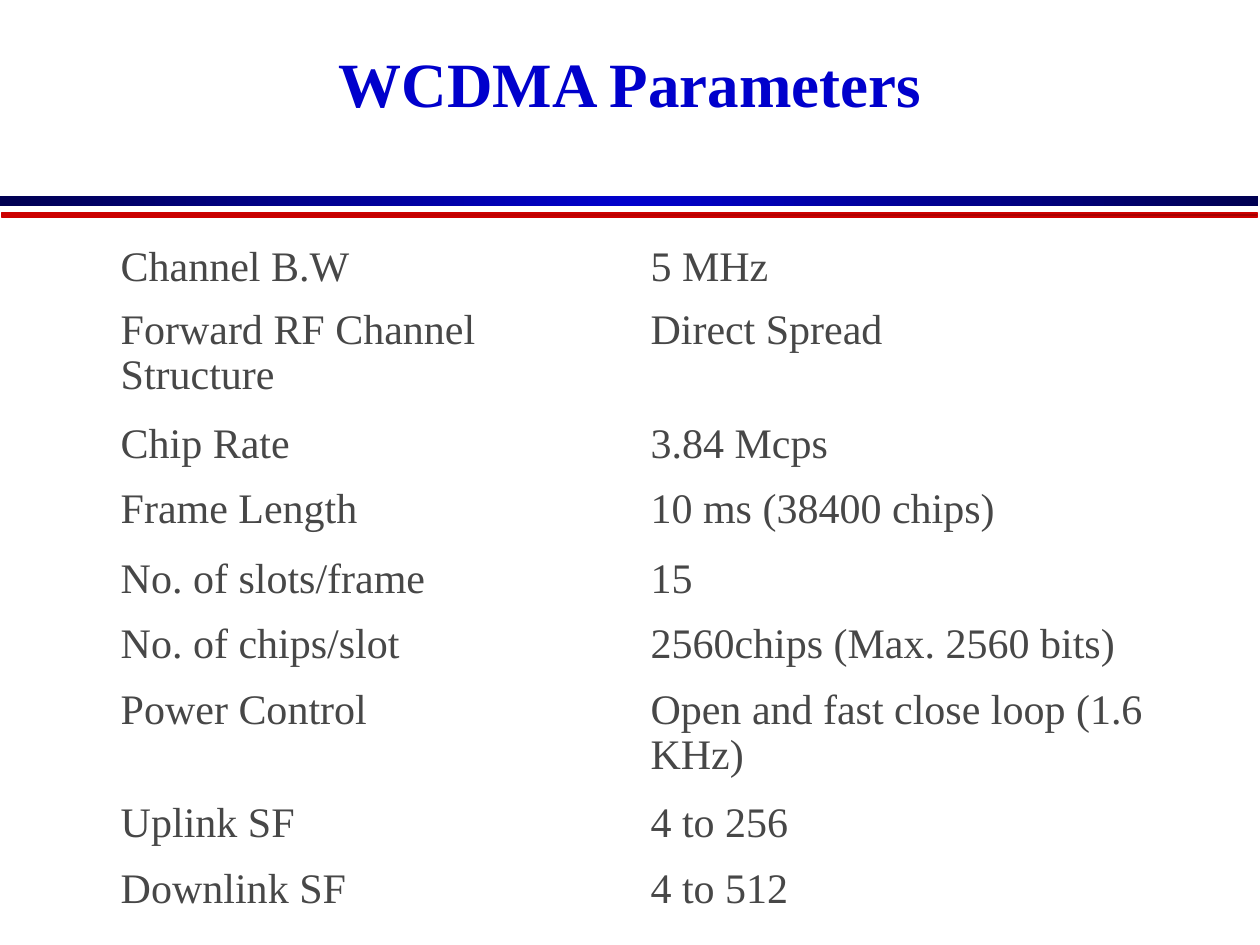
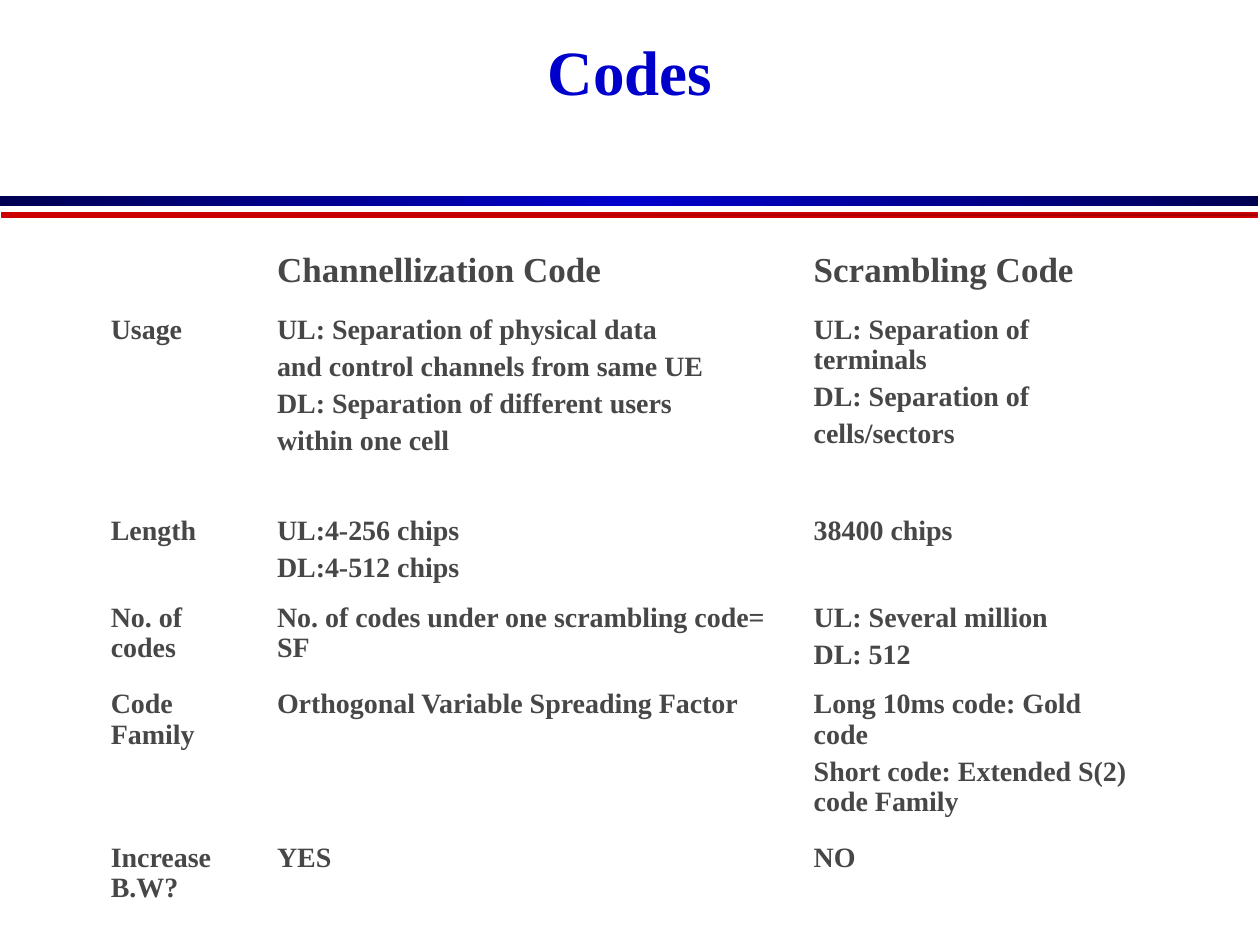
from copy import deepcopy
from dataclasses import dataclass

from lxml import etree
from pptx import Presentation
from pptx import util as u
from pptx.dml.color import RGBColor
from pptx.enum import shapes, text
from pptx.oxml.ns import qn

NAVY = RGBColor(0x00, 0x00, 0x52)
BLUE = RGBColor(0x00, 0x00, 0xCC)
RED = RGBColor(0xCC, 0x00, 0x00)
DARK_RED = RGBColor(0xA3, 0x00, 0x00)
GREY = RGBColor(0x47, 0x47, 0x47)
WHITE = RGBColor(0xFF, 0xFF, 0xFF)
FACE = "Times New Roman"
TITLE = {"name": FACE, "size": u.Pt(36), "bold": True}
OUTER, INNER = u.Pt(1.08), u.Pt(0.45)


@dataclass(frozen=True)
class Band:
    left: float
    top: float
    width: float
    height: float
    stops: tuple[RGBColor, ...]
    edge: RGBColor | None = None


@dataclass(frozen=True)
class Grid:
    """A table: lengths in cm, sizes in points, one string per cell."""
    left: float
    top: float
    cols: tuple[float, ...]
    rows: tuple[float, ...]
    cells: tuple[tuple[str, ...], ...]
    size: int
    head: int
    bold: bool = False


@dataclass(frozen=True)
class Page:
    title: str
    depth: float
    grid: Grid


BANDS = (
    Band(0, 3.96, 25.37, 0.2, (NAVY, BLUE, NAVY)),
    Band(0.03, 4.29, 25.32, 0.08, (RED, DARK_RED), RED),
)

PARAMS = Grid(
    2.18, 4.83, (10.68, 10.68),
    (1.27, 2.29, 1.32, 1.4, 1.32, 1.32, 2.29, 1.32, 1.32),
    (
        ("Channel B.W", "5 MHz"),
        ("Forward RF Channel Structure", "Direct Spread"),
        ("Chip Rate", "3.84 Mcps"),
        ("Frame Length", "10 ms (38400 chips)"),
        ("No. of slots/frame", "15"),
        ("No. of chips/slot", "2560chips (Max. 2560 bits)"),
        ("Power Control", "Open and fast close loop (1.6 KHz)"),
        ("Uplink SF", "4 to 256"),
        ("Downlink SF", "4 to 512"),
    ),
    size=24, head=24,
)

CODES = Grid(
    1.98, 4.95, (3.35, 10.82, 7.09),
    (1.27, 4.06, 1.75, 1.75, 3.1, 1.63),
    (
        ("", "Channellization Code", "Scrambling Code"),
        ("Usage",
         "UL: Separation of physical data\n"
         "and control channels from same UE\n"
         "DL: Separation of different users\n"
         "within one cell",
         "UL: Separation of terminals\nDL: Separation of\ncells/sectors"),
        ("Length", "UL:4-256 chips\nDL:4-512 chips", "38400 chips"),
        ("No. of codes", "No. of codes under one scrambling code= SF",
         "UL: Several million\nDL: 512"),
        ("Code Family", "Orthogonal Variable Spreading Factor",
         "Long 10ms code: Gold code\n"
         "Short code: Extended S(2) code Family"),
        ("Increase B.W?", "YES", "NO"),
    ),
    size=16, head=20, bold=True,
)

PAGES = (
    Page("WCDMA Parameters", 1.78, PARAMS),
    Page("Codes", 1.55, CODES),
)


def style(font, look: dict, color: RGBColor) -> None:
    for name, value in look.items():
        setattr(font, name, value)
    font.color.rgb = color


def shade(shape, colors: tuple[RGBColor, ...]) -> None:
    """Fill from left to right with evenly spaced colours."""
    fill = shape.fill
    fill.gradient()
    fill.gradient_angle = 0
    stops = shape._element.spPr.find(qn("a:gradFill")).find(qn("a:gsLst"))
    for _ in range(len(colors) - len(stops)):
        stops.append(deepcopy(stops[0]))
    for i, (stop, color) in enumerate(zip(fill.gradient_stops, colors)):
        stop.position = i / (len(colors) - 1)
        stop.color.rgb = color


def draw_band(slide, band: Band) -> None:
    box = map(u.Cm, (band.left, band.top, band.width, band.height))
    bar = slide.shapes.add_shape(shapes.MSO_SHAPE.RECTANGLE, *box)
    bar.shadow.inherit = False
    shade(bar, band.stops)
    if band.edge is None:
        bar.line.fill.background()
    else:
        bar.line.color.rgb = band.edge
        bar.line.width = u.Pt(1)


def draw_title(slide, words: str, depth: float) -> None:
    box = map(u.Cm, (1.27, 0.76, 22.86, depth))
    frame = slide.shapes.add_textbox(*box).text_frame
    frame.word_wrap = True
    frame.vertical_anchor = text.MSO_ANCHOR.BOTTOM
    para = frame.paragraphs[0]
    para.text = words
    para.alignment = text.PP_ALIGN.CENTER
    style(para.font, TITLE, BLUE)


def rule(cell, edges: dict[str, bool]) -> None:
    """Draw white borders, heavier where a side is on the table's rim."""
    props = cell._tc.get_or_add_tcPr()
    for side, rim in edges.items():
        line = etree.SubElement(props, qn(f"a:ln{side}"),
                                w=str(OUTER if rim else INNER))
        fill = etree.SubElement(line, qn("a:solidFill"))
        etree.SubElement(fill, qn("a:srgbClr"), val=str(WHITE))


def write(cell, words: str, size: int, bold: bool) -> None:
    cell.text = words
    look = {"name": FACE, "size": u.Pt(size), "bold": bold}
    for i, para in enumerate(cell.text_frame.paragraphs):
        para.line_spacing = 0.97
        if i:
            para.space_before = u.Pt(size / 4)
        style(para.font, look, GREY)


def draw_grid(slide, grid: Grid) -> None:
    high, wide = len(grid.rows), len(grid.cols)
    box = map(u.Cm, (grid.left, grid.top, sum(grid.cols), sum(grid.rows)))
    table = slide.shapes.add_table(high, wide, *box).table
    table.first_row = table.horz_banding = False
    for col, width in zip(table.columns, grid.cols):
        col.width = u.Cm(width)
    for row, height in zip(table.rows, grid.rows):
        row.height = u.Cm(height)
    for r, line in enumerate(grid.cells):
        for c, words in enumerate(line):
            cell = table.cell(r, c)
            rule(cell, {"L": c == 0, "R": c == wide - 1,
                        "T": r == 0, "B": r == high - 1})
            cell.fill.background()
            write(cell, words, grid.size if r else grid.head, grid.bold)


def main() -> None:
    deck = Presentation()
    deck.slide_width, deck.slide_height = u.Cm(25.4), u.Cm(19.05)
    for page in PAGES:
        slide = deck.slides.add_slide(deck.slide_layouts[6])
        for band in BANDS:
            draw_band(slide, band)
        draw_title(slide, page.title, page.depth)
        draw_grid(slide, page.grid)
    deck.save("out.pptx")


if __name__ == "__main__":
    main()
